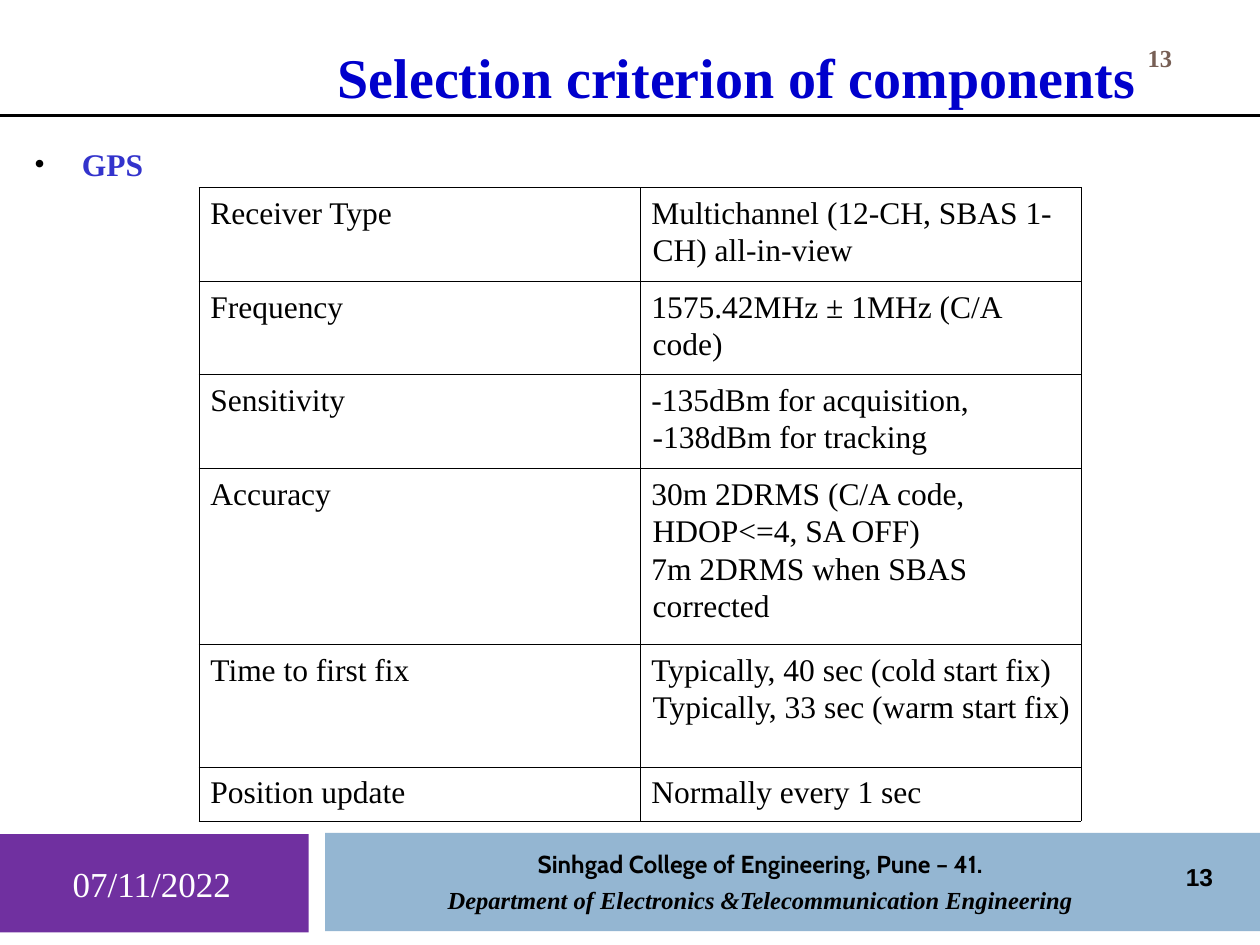
"""Build the slide on how the GPS part was chosen."""
import pptx
import pptx.dml.color
import pptx.enum.shapes
import pptx.enum.text
import pptx.oxml
import pptx.oxml.ns
import pptx.util

Inches = pptx.util.Inches
Pt = pptx.util.Pt
RGBColor = pptx.dml.color.RGBColor
Align = pptx.enum.text.PP_ALIGN
Anchor = pptx.enum.text.MSO_ANCHOR

BLACK = RGBColor(0x00, 0x00, 0x00)
WHITE = RGBColor(0xFF, 0xFF, 0xFF)
PURPLE = RGBColor(0x70, 0x30, 0xA0)
STEEL = RGBColor(0x94, 0xB6, 0xD2)
NAVY = RGBColor(0x00, 0x00, 0xCC)
BLUE = RGBColor(0x33, 0x33, 0xCC)
BROWN = RGBColor(0x77, 0x5F, 0x55)
SERIF = "Times New Roman"
NS = pptx.oxml.ns.nsdecls("a")

ROWS = [
    ("Receiver Type", "Multichannel (12-CH, SBAS 1-CH) all-in-view", 0.74),
    ("Frequency", "1575.42MHz ± 1MHz (C/A code)", 0.74),
    ("Sensitivity", "-135dBm for acquisition, -138dBm for tracking", 0.74),
    ("Accuracy", "30m 2DRMS (C/A code, HDOP<=4, SA OFF)\n"
                 "7m 2DRMS when SBAS corrected", 1.4),
    ("Time to first fix", "Typically, 40 sec (cold start fix) "
                          "Typically, 33 sec (warm start fix)", 0.97),
    ("Position update", "Normally every 1 sec", 0.43),
]


def place(shape, left, top, width, height):
    """Move and size a shape, in inches."""
    shape.left, shape.top = Inches(left), Inches(top)
    shape.width, shape.height = Inches(width), Inches(height)


def style(para, size, color, bold=False, italic=False, face=SERIF):
    """Format the runs of a paragraph."""
    for run in para.runs:
        font = run.font
        font.name, font.size = face, Pt(size)
        font.bold, font.italic = bold, italic
        font.color.rgb = color


def indent(para, left, first):
    """Set the left margin and first line indent, in inches."""
    props = para._p.get_or_add_pPr()
    props.set("marL", str(Inches(left)))
    props.set("indent", str(Inches(first)))
    return props


def add_bar(slide, area, color):
    """Add a plain filled bar."""
    bar = slide.shapes.add_shape(
        pptx.enum.shapes.MSO_SHAPE.RECTANGLE, *map(Inches, area))
    bar.shadow.inherit = False
    bar.fill.solid()
    bar.fill.fore_color.rgb = color
    bar.line.fill.background()


def add_text(slide, area, text, anchor=Anchor.MIDDLE):
    """Add a centred text box and return its paragraphs."""
    frame = slide.shapes.add_textbox(*map(Inches, area)).text_frame
    frame.word_wrap = True
    frame.vertical_anchor = anchor
    frame.text = text
    for para in frame.paragraphs:
        para.alignment = Align.CENTER
    return frame.paragraphs


def add_rule(slide):
    """Add the line below the title."""
    rule = slide.shapes.add_connector(
        pptx.enum.shapes.MSO_CONNECTOR.STRAIGHT,
        0, Inches(0.92), Inches(10), Inches(0.92))
    rule.line.color.rgb = BLACK
    rule.line.width = Pt(1.75)
    rule._element.spPr.append(pptx.oxml.parse_xml(f"<a:effectLst {NS}/>"))


def set_title(slide):
    """Fill the title placeholder."""
    title = slide.shapes.title
    place(title, 1.83, 0, 8.17, 0.92)
    frame = title.text_frame
    frame.text = "Selection criterion of components"
    frame.auto_size = pptx.enum.text.MSO_AUTO_SIZE.NONE
    frame.vertical_anchor = Anchor.BOTTOM
    frame.margin_left = Inches(0.85)
    para = frame.paragraphs[0]
    para.alignment = Align.LEFT
    style(para, 32, NAVY, bold=True)


def set_body(slide):
    """Fill the body placeholder with its bullet."""
    body = slide.placeholders[1]
    place(body, 0.17, 1.1, 9.58, 2.47)
    frame = body.text_frame
    frame.text = "GPS"
    frame.auto_size = pptx.enum.text.MSO_AUTO_SIZE.NONE
    para = frame.paragraphs[0]
    props = indent(para, 0.38, -0.38)
    for mark in (f'<a:buClr {NS}><a:srgbClr val="{BLACK}"/></a:buClr>',
                 f'<a:buFont {NS} typeface="{SERIF}"/>',
                 f'<a:buChar {NS} char="•"/>'):
        props.append(pptx.oxml.parse_xml(mark))
    para.space_before = Pt(0)
    para.alignment = Align.JUSTIFY
    style(para, 18, BLUE, bold=True)


def fill_cell(cell, text):
    """Write one table cell and draw its borders."""
    cell.text = text
    cell.margin_left = cell.margin_right = Inches(0.08)
    for para in cell.text_frame.paragraphs:
        indent(para, 0.02, -0.01)
        para.line_spacing = 1.07
        para.space_after = Pt(0.3)
        style(para, 18, BLACK)
    props = cell._tc.get_or_add_tcPr()
    for side in ("lnL", "lnR", "lnT", "lnB"):
        props.append(pptx.oxml.parse_xml(
            f'<a:{side} {NS} w="{Pt(0.45)}"><a:solidFill>'
            f'<a:srgbClr val="{BLACK}"/></a:solidFill></a:{side}>'))
    cell.fill.background()


def add_grid(slide):
    """Add the table of GPS traits."""
    high = sum(row[2] for row in ROWS)
    table = slide.shapes.add_table(
        len(ROWS), 2, Inches(1.58), Inches(1.49), Inches(7), Inches(high)).table
    table.first_row = table.horz_banding = False
    for row, (name, value, height) in zip(table.rows, ROWS):
        row.height = Inches(height)
        for cell, text in zip(row.cells, (name, value)):
            fill_cell(cell, text)


def add_foot(slide):
    """Add the bars and texts at the bottom."""
    add_bar(slide, (-0.01, 6.62, 2.46, 0.78), PURPLE)
    add_bar(slide, (2.58, 6.61, 7.42, 0.78), STEEL)
    school, unit = add_text(
        slide, (3.06, 6.69, 5.95, 0.61),
        "Sinhgad College of Engineering, Pune – 41.\n"
        "Department of Electronics &Telecommunication Engineering", Anchor.TOP)
    style(school, 14, BLACK, bold=True, face="Cabin")
    style(unit, 14, BLACK, bold=True, italic=True)
    unit.space_before = Pt(3.5)
    page = add_text(slide, (9.06, 6.75, 0.92, 0.42), "13")[0]
    style(page, 14, BLACK, bold=True, face="Arial")
    date = add_text(slide, (0.08, 6.64, 2.25, 0.75), "07/11/2022")[0]
    style(date, 20, WHITE)


def main():
    """Build and save the deck."""
    deck = pptx.Presentation()
    deck.slide_width, deck.slide_height = Inches(10), Inches(7.5)
    slide = deck.slides.add_slide(deck.slide_layouts[1])
    set_title(slide)
    add_rule(slide)
    add_foot(slide)
    set_body(slide)
    add_grid(slide)
    page = add_text(slide, (8.75, 0.25, 0.91, 0.41), "13")[0]
    style(page, 14, BROWN, bold=True)
    deck.save("out.pptx")


if __name__ == "__main__":
    main()
